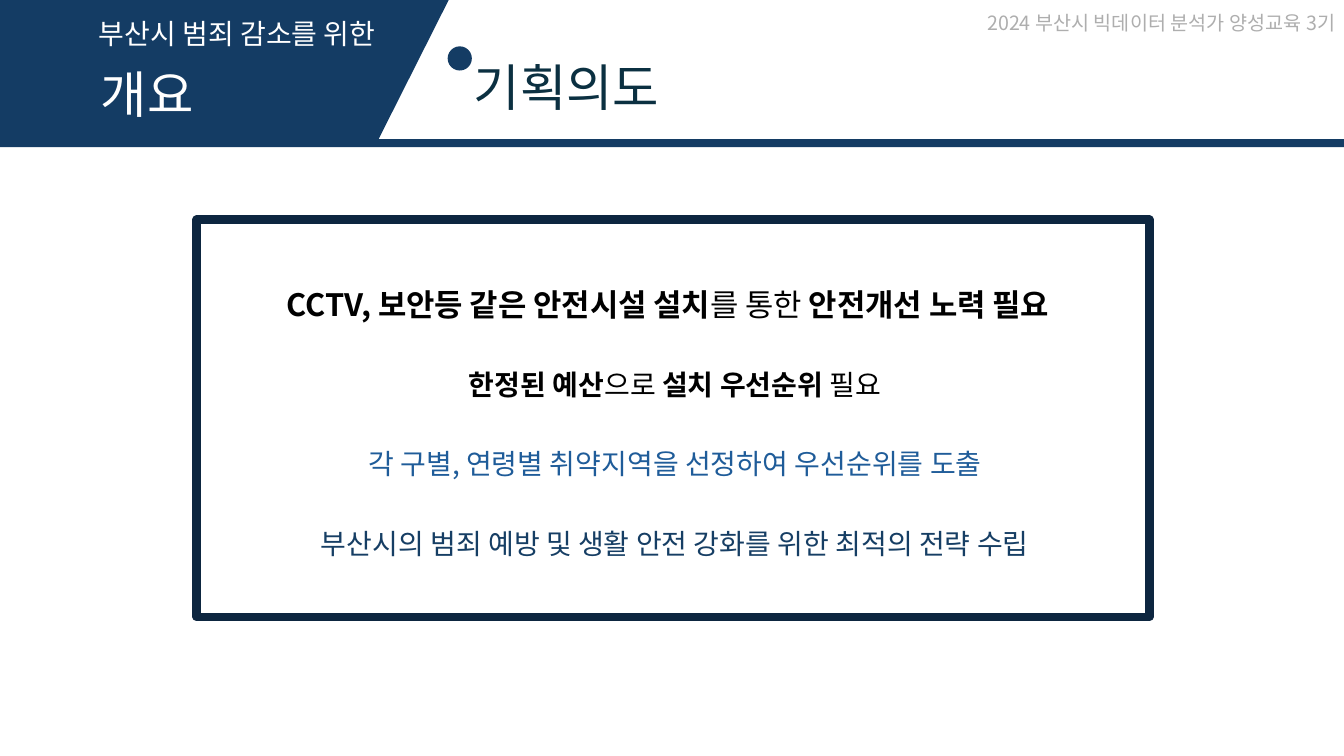
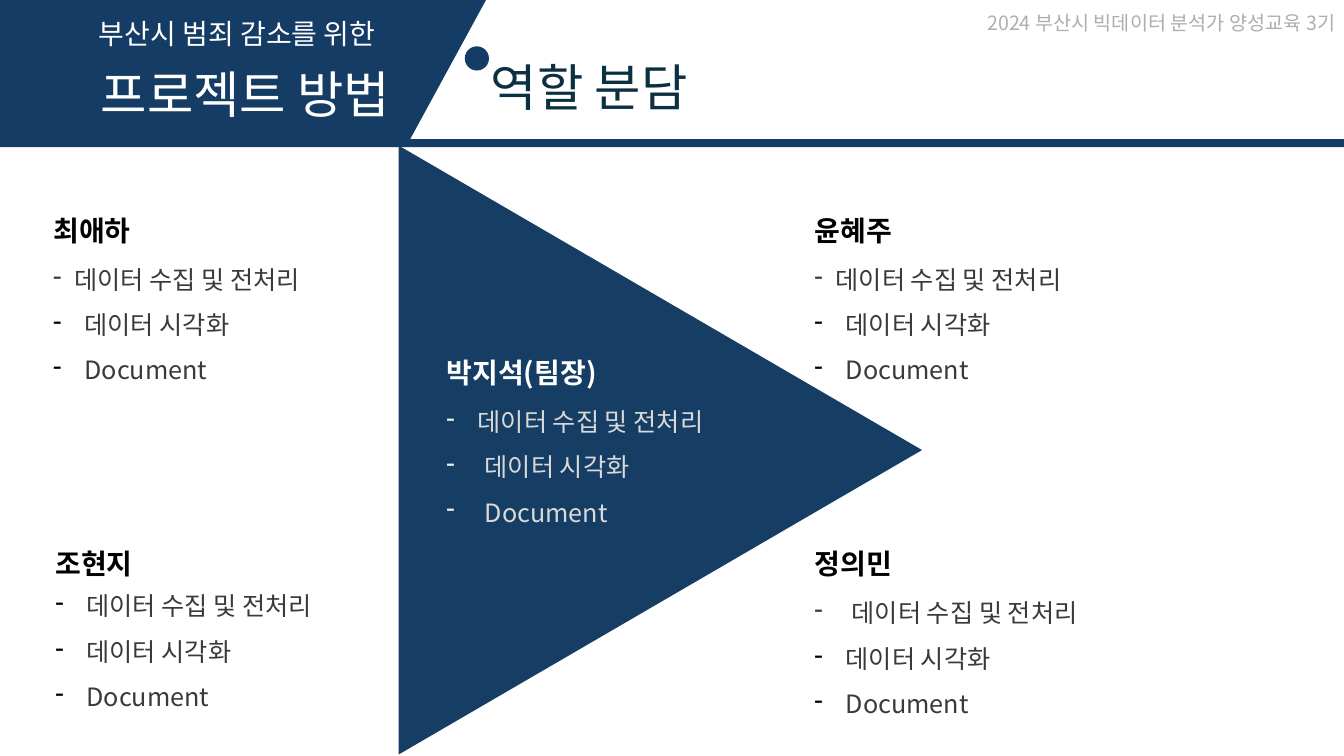
from lxml import etree
from pptx import Presentation
from pptx.dml.color import RGBColor
from pptx.enum.shapes import MSO_SHAPE
from pptx.enum.text import PP_ALIGN
from pptx.oxml.ns import qn
from pptx.util import Pt

PX = 9144  # 100 px to the inch
PAGE_WIDTH, PAGE_HEIGHT = 1333, 750
FONT = "Noto Sans CJK KR"

NAVY = RGBColor(0x14, 0x3C, 0x64)
TRIANGLE_NAVY = RGBColor(0x16, 0x3E, 0x64)
FRAME_NAVY = RGBColor(0x0D, 0x26, 0x40)
TITLE_TEAL = RGBColor(0x0B, 0x30, 0x41)
BLUE = RGBColor(0x1F, 0x5C, 0x99)
BLACK = RGBColor(0, 0, 0)
WHITE = RGBColor(0xFF, 0xFF, 0xFF)
CHARCOAL = RGBColor(0x3A, 0x3A, 0x3A)
GREY = RGBColor(0xAE, 0xAE, 0xAE)
LIGHT_GREY = RGBColor(0xD9, 0xD9, 0xD9)
PALE_BLUE = RGBColor(0xEA, 0xF2, 0xFA)

RECTANGLE, ELLIPSE = MSO_SHAPE.RECTANGLE, MSO_SHAPE.OVAL
TRIANGLE = MSO_SHAPE.ISOSCELES_TRIANGLE
LEFT, CENTER, RIGHT = PP_ALIGN.LEFT, PP_ALIGN.CENTER, PP_ALIGN.RIGHT


def emu(box):
    return [length * PX for length in box]


def paint(shape, color):
    shape.shadow.inherit = False
    shape.fill.solid()
    shape.fill.fore_color.rgb = color
    shape.line.fill.background()
    return shape


def add_solid(page, kind, box, color):
    return paint(page.shapes.add_shape(kind, *emu(box)), color)


def add_dash(para, indent, color):
    properties = para._p.get_or_add_pPr()
    properties.set("marL", str(indent * PX))
    properties.set("indent", str(-indent * PX))
    bullet_color = etree.SubElement(properties, qn("a:buClr"))
    etree.SubElement(bullet_color, qn("a:srgbClr"), val=str(color))
    etree.SubElement(properties, qn("a:buChar"), char="-")


def add_text(page, box, paragraphs, size, color, bold=False, align=LEFT,
             spacing=None, dashes=()):
    """Each paragraph is a string, or a list of (text, bold) spans.

    dashes holds one (indent, color) pair for each paragraph.
    """
    frame = page.shapes.add_textbox(*emu(box)).text_frame
    frame.word_wrap = True
    for index, content in enumerate(paragraphs):
        para = frame.add_paragraph() if index else frame.paragraphs[0]
        para.alignment = align
        if spacing:
            para.line_spacing = spacing
        if dashes:
            add_dash(para, *dashes[index])
        spans = [(content, bold)] if isinstance(content, str) else content
        for text, is_bold in spans:
            span = para.add_run()
            span.text = text
            font = span.font
            font.size, font.bold, font.name = Pt(size), is_bold, FONT
            font.color.rgb = color
            etree.SubElement(span._r.get_or_add_rPr(), qn("a:ea"), typeface=FONT)


def add_header(page, section, title, flag_top, flag_foot, title_left):
    # Course name
    add_text(page, (665, 6, 669, 34), ["2024 부산시 빅데이터 분석가 양성교육 3기"],
             size=14, color=GREY, align=RIGHT)
    # Slanted flag and band
    flag = page.shapes.build_freeform(0, 0, scale=PX)
    flag.add_line_segments([(flag_top, 0), (flag_foot, 145), (0, 142)], close=True)
    paint(flag.convert_to_shape(), NAVY)
    add_solid(page, RECTANGLE, (0, 138, PAGE_WIDTH, 8), NAVY)
    # Section name on the flag, page title beside it
    add_text(page, (88, 11, 373, 44), ["부산시 범죄 감소를 위한"], size=20, color=WHITE)
    add_text(page, (90, 58, 346, 71), [section], size=36, color=WHITE)
    add_solid(page, ELLIPSE, (title_left - 16, 46, 24, 24), NAVY)
    add_text(page, (title_left, 51, 261, 71), [title], size=36, color=TITLE_TEAL)


def add_statements(page, box, statements):
    left, top, width, height = box
    for offset, shift, size, color, content in statements:
        add_text(page, (left + 60 + shift, top + offset, width - 120, 60), [content],
                 size=size, color=color, align=CENTER, spacing=1.5)
    # Frame with rounded joins
    frame = page.shapes.add_shape(RECTANGLE, *emu(box))
    frame.shadow.inherit = False
    frame.fill.background()
    frame.line.color.rgb = FRAME_NAVY
    frame.line.width = Pt(6)
    etree.SubElement(frame.line._get_or_add_ln(), qn("a:round"))


def add_member(page, left, top, name, indents, first_dash=BLACK, duty_offset=52,
               name_color=BLACK, duty_color=CHARCOAL, dash_color=BLACK):
    add_text(page, (left, top, 192, 60), [name], size=20, color=name_color,
             bold=True, spacing=1.5)
    dash_colors = (first_dash, dash_color, dash_color)
    add_text(page, (left, top + duty_offset, 557, 141),
             ["데이터 수집 및 전처리", "데이터 시각화", "Document"],
             size=18, color=duty_color, spacing=1.5,
             dashes=list(zip(indents, dash_colors)))


def build_purpose(page):
    add_header(page, "개요", "기획의도", flag_top=445, flag_foot=372, title_left=460)
    # Offset from the frame top, sideways shift, size, color, text
    add_statements(page, (195, 218, 945, 394), [
        (42, -5, 22, BLACK, [("CCTV, 보안등 같은 안전시설 설치", True),
                             ("를 통한 ", False), ("안전개선 노력 필요", True)]),
        (125, 2, 20, BLACK, [("한정된 예산", True), ("으로 ", False),
                             ("설치 우선순위", True), (" 필요", False)]),
        (203, 2, 20, BLUE, "각 구별, 연령별 취약지역을 선정하여 우선순위를 도출"),
        (283, 2, 20, TRIANGLE_NAVY,
         "부산시의 범죄 예방 및 생활 안전 강화를 위한 최적의 전략 수립"),
    ])


def build_roles(page):
    triangle = add_solid(page, TRIANGLE, (353, 187, 604, 519), TRIANGLE_NAVY)
    triangle.rotation = 90
    add_header(page, "프로젝트 방법", "역할 분담",
               flag_top=482, flag_foot=403, title_left=477)
    # Members around the team leader
    add_member(page, 43, 190, "최애하", (21, 31, 31), first_dash=CHARCOAL)
    add_member(page, 45, 521, "조현지", (31, 31, 31), duty_offset=45)
    add_member(page, 798, 190, "윤혜주", (21, 31, 31), first_dash=CHARCOAL)
    add_member(page, 798, 521, "정의민", (37, 31, 31), first_dash=CHARCOAL)
    add_member(page, 433, 331, "박지석(팀장)", (31, 38, 38), first_dash=PALE_BLUE,
               name_color=WHITE, duty_color=LIGHT_GREY, dash_color=PALE_BLUE)


def main():
    deck = Presentation()
    deck.slide_width, deck.slide_height = emu((PAGE_WIDTH, PAGE_HEIGHT))
    blank = deck.slide_layouts[6]
    for build in (build_purpose, build_roles):
        build(deck.slides.add_slide(blank))
    deck.save("out.pptx")


if __name__ == "__main__":
    main()
